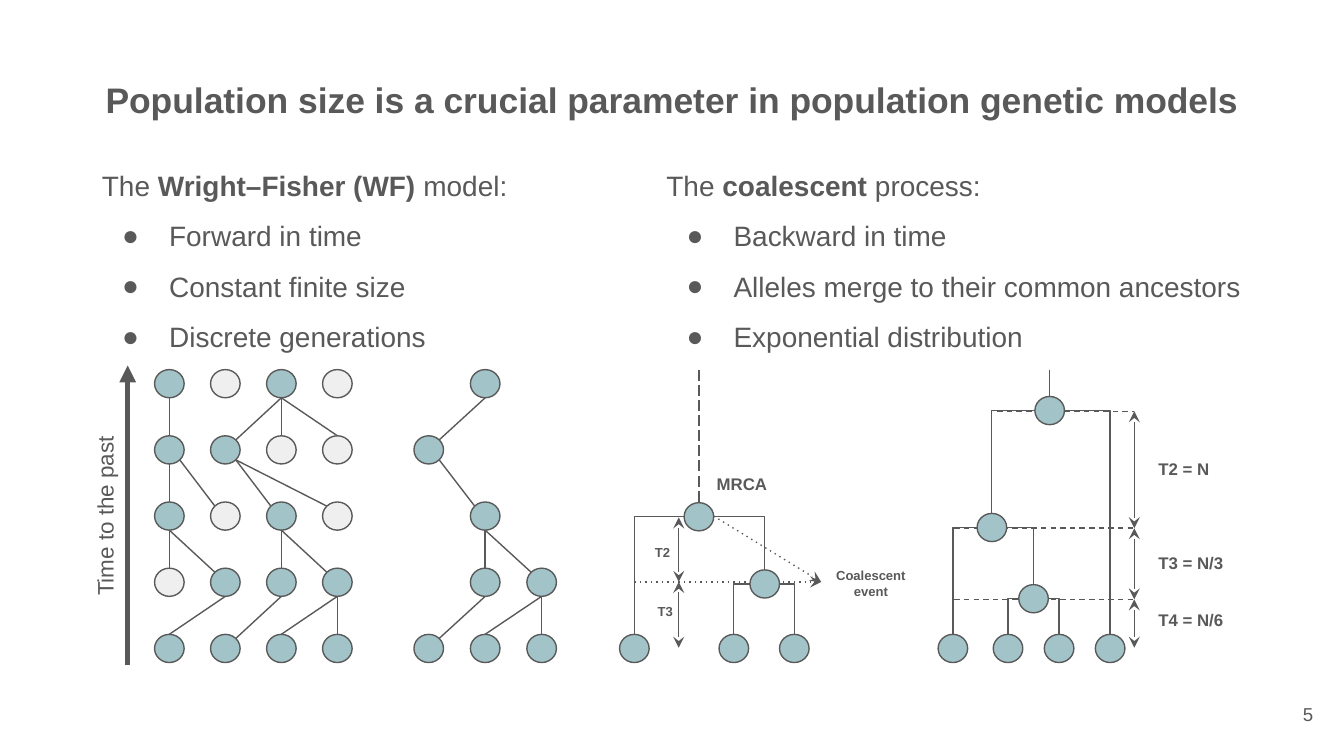
from collections import namedtuple
from dataclasses import dataclass
from math import cos, pi, sin

from lxml.etree import SubElement
from pptx import Presentation
from pptx.dml.color import RGBColor
from pptx.enum.shapes import MSO_CONNECTOR, MSO_SHAPE
from pptx.enum.text import MSO_ANCHOR, PP_ALIGN
from pptx.oxml.ns import qn
from pptx.util import Inches, Pt


@dataclass(frozen=True)
class Theme:
    font: str = "Arial"
    ink: RGBColor = RGBColor(0x59, 0x59, 0x59)
    ancestor: RGBColor = RGBColor(0xA2, 0xC4, 0xC9)
    extinct: RGBColor = RGBColor(0xEF, 0xEF, 0xEF)
    title: int = 19
    body: int = 15
    axis: int = 12
    number: int = 10
    label: int = 9
    small: int = 7
    thin: float = 0.75
    thick: float = 3


THEME = Theme()
NODE_WIDTH, NODE_HEIGHT = 0.22, 0.21
# Connection sites of an ellipse, counter-clockwise from the top
TOP, TOP_LEFT, LEFT, BOTTOM_LEFT, BOTTOM, BOTTOM_RIGHT, RIGHT, TOP_RIGHT = range(8)

Box = namedtuple("Box", "left top width height")
Node = namedtuple("Node", "shape x y")


def add_bullet(para, size):
    properties = para._p.get_or_add_pPr()
    properties.set("marL", str(Inches(0.5)))
    properties.set("indent", str(Inches(-0.35)))
    color = SubElement(properties, qn("a:buClr"))
    SubElement(color, qn("a:srgbClr"), val=str(THEME.ink))
    SubElement(properties, qn("a:buSzPts"), val=str(size * 100))
    SubElement(properties, qn("a:buFont"), typeface=THEME.font)
    SubElement(properties, qn("a:buChar"), char="●")


def add_text(page, box, spans, size, bold=False, align=PP_ALIGN.LEFT,
             anchor=MSO_ANCHOR.MIDDLE, bullets=(), spacing=None):
    """Write one paragraph of (text, bold) spans, then any bulleted lines."""
    shape = page.shapes.add_textbox(*map(Inches, box))
    frame = shape.text_frame
    frame.word_wrap = True
    frame.vertical_anchor = anchor
    frame.margin_left = frame.margin_right = Inches(0.1)
    frame.margin_top = frame.margin_bottom = Inches(0.1)
    spans = [(spans, bold)] if isinstance(spans, str) else spans
    for index, line in enumerate([spans, *([(text, bold)] for text in bullets)]):
        para = frame.add_paragraph() if index else frame.paragraphs[0]
        para.alignment = align
        if spacing:
            para.line_spacing = spacing
        if index:
            add_bullet(para, size)
        para.font.name = THEME.font
        para.font.size = Pt(size)
        para.font.color.rgb = THEME.ink
        for text, heavy in line:
            span = para.add_run()
            span.text = text
            span.font.bold = heavy
    return shape


def add_line(page, start, end, kind=MSO_CONNECTOR.STRAIGHT, weight=THEME.thin,
             dash=None, head=None, tail=None):
    line = page.shapes.add_connector(kind, *map(Inches, (*start, *end)))
    line.line.color.rgb = THEME.ink
    line.line.width = Pt(weight)
    properties = line.element.spPr
    outline = properties.find(qn("a:ln"))
    for tag, attribute, value in (("a:prstDash", "val", dash),
                                  ("a:headEnd", "type", head),
                                  ("a:tailEnd", "type", tail)):
        if value:
            SubElement(outline, qn(tag), {attribute: value})
    SubElement(properties, qn("a:effectLst"))
    return line


def add_node(page, left, top, fill=THEME.ancestor):
    shape = page.shapes.add_shape(
        MSO_SHAPE.OVAL, *map(Inches, (left, top, NODE_WIDTH, NODE_HEIGHT)))
    shape.shadow.inherit = False
    shape.fill.solid()
    shape.fill.fore_color.rgb = fill
    shape.line.color.rgb = THEME.ink
    shape.line.width = Pt(THEME.thin)
    return Node(shape, left + NODE_WIDTH / 2, top + NODE_HEIGHT / 2)


def site_point(node, site):
    angle = site * pi / 4
    return (node.x - NODE_WIDTH / 2 * sin(angle),
            node.y - NODE_HEIGHT / 2 * cos(angle))


def link(page, parent, parent_site, child, child_site, kind=MSO_CONNECTOR.STRAIGHT):
    """Join two nodes at connection sites; an elbow has a single corner."""
    line = add_line(page, site_point(parent, parent_site),
                    site_point(child, child_site), kind)
    if kind == MSO_CONNECTOR.ELBOW:
        line.element.spPr.find(qn("a:prstGeom")).set("prst", "bentConnector2")
    joints = line.element.find(".//" + qn("p:cNvCxnSpPr"))
    for tag, node, site in (("a:stCxn", parent, parent_site),
                            ("a:endCxn", child, child_site)):
        SubElement(joints, qn(tag), id=str(node.shape.shape_id), idx=str(site))


def add_generations(page, box, rows, descents):
    """Draw a grid of individuals: 1 ancestor, 0 extinct, blank none."""
    column_step = (box.width - NODE_WIDTH) / (len(rows[0]) - 1)
    row_step = (box.height - NODE_HEIGHT) / (len(rows) - 1)
    fills = {"1": THEME.ancestor, "0": THEME.extinct}
    nodes = {(row, column): add_node(page, box.left + column * column_step,
                                     box.top + row * row_step, fills[mark])
             for row, marks in enumerate(rows)
             for column, mark in enumerate(marks) if mark in fills}
    for row, generation in enumerate(descents):
        for parent, parent_site, child, child_site in generation:
            link(page, nodes[row, parent], parent_site,
                 nodes[row + 1, child], child_site)


def add_time_axis(page, box):
    x = box.left + box.width
    add_line(page, (x, box.top + box.height), (x, box.top),
             weight=THEME.thick, tail="triangle")
    label = add_text(page, Box(box.left - 0.74, box.top + 0.95, 1.64, 0.34),
                     "Time to the past", THEME.axis, align=PP_ALIGN.CENTER)
    label.rotation = 270


def add_tree(page, box, places, branches):
    """Draw nodes at offsets in the box; each parent branches left and right."""
    nodes = [add_node(page, box.left + x, box.top + y) for x, y in places]
    for parent, *children in branches:
        for site, child in zip((LEFT, RIGHT), children):
            link(page, nodes[parent], site, nodes[child], TOP, MSO_CONNECTOR.ELBOW)


def add_intervals(page, x, levels):
    for upper, lower in zip(levels, levels[1:]):
        add_line(page, (x, upper), (x, lower), head="stealth", tail="stealth")


def add_three_sample_tree(page, box):
    left, top = box.left, box.top
    event = (left + 1.5, top + 1.58)
    add_line(page, (left + 0.11, top + 1.58), event, dash="dot", tail="stealth")
    add_line(page, (left + 0.59, top), (left + 0.59, top + 0.99), dash="lgDash")
    tips = [(x, 1.97) for x in (0, 0.74, 1.19)]
    add_tree(page, box, [(0.48, 0.99), (0.97, 1.49), *tips], [(0, 2, 1), (1, 3, 4)])
    add_line(page, (left + 0.7, top + 1.09), event, dash="dot", tail="stealth")
    add_intervals(page, left + 0.44, [top + y for y in (1.1, 1.58, 2.07)])
    for text, size, place in (
            ("MRCA", THEME.label, (0.6, 0.71, 0.62, 0.28)),
            ("Coalescent event", THEME.small, (1.5, 1.46, 0.74, 0.26)),
            ("T2", THEME.small, (0.15, 1.25, 0.34, 0.22)),
            ("T3", THEME.small, (0.17, 1.69, 0.34, 0.22))):
        x, y, width, height = place
        add_text(page, Box(left + x, top + y, width, height), text, size,
                 bold=True, align=PP_ALIGN.CENTER)


def add_four_sample_tree(page, box):
    left, top = box.left, box.top
    scale = left + 1.46
    levels = [top + y for y in (0.31, 1.18, 1.71, 2.07)]
    for start, level in zip((0.44, 0.12, 0.12), levels):
        add_line(page, (left + start, level), (scale, level), dash="dash")
    tips = [(x, 1.97) for x in (0, 0.41, 0.79, 1.17)]
    add_tree(page, box, [(0.72, 0.2), (0.29, 1.07), (0.6, 1.6), *tips],
             [(0, 1, 6), (1, 3, 2), (2, 4, 5)])
    add_line(page, (left + 0.83, top), (left + 0.83, top + 0.2))
    add_intervals(page, scale, levels)
    for text, y in (("T2 = N", 0.63), ("T3 = N/3", 1.33), ("T4 = N/6", 1.75)):
        add_text(page, Box(scale + 0.08, top + y, 0.7, 0.22),
                 text, THEME.label, bold=True)


def add_model_summary(page, box, heading, points):
    add_text(page, box, heading, THEME.body, anchor=MSO_ANCHOR.TOP,
             bullets=points, spacing=1.5)


def main():
    deck = Presentation()
    deck.slide_width = Inches(10)
    deck.slide_height = deck.slide_width * 9 // 16
    page = deck.slides.add_slide(deck.slide_layouts[6])
    add_text(page, Box(0, 0.48, 10, 0.62),
             "Population size is a crucial parameter in population genetic models",
             THEME.title, bold=True, align=PP_ALIGN.CENTER, anchor=MSO_ANCHOR.TOP)
    add_model_summary(page, Box(0.66, 1.03, 4.19, 1.59),
                      [("The ", False), ("Wright–Fisher (WF)", True), (" model:", False)],
                      ["Forward in time", "Constant finite size", "Discrete generations"])
    add_model_summary(page, Box(4.86, 1.03, 4.48, 1.59),
                      [("The ", False), ("coalescent ", True), ("process:", False)],
                      ["Backward in time", "Alleles merge to their common ancestors",
                       "Exponential distribution"])
    add_time_axis(page, Box(0.7, 2.72, 0.25, 2.23))
    add_generations(
        page, Box(1.15, 2.75, 1.47, 2.18), ["1010", "1100", "1010", "0111", "1111"],
        [[(0, BOTTOM, 0, TOP), (2, BOTTOM, 1, TOP_RIGHT),
          (2, BOTTOM, 2, TOP), (2, BOTTOM, 3, TOP)],
         [(0, BOTTOM, 0, TOP), (0, BOTTOM_RIGHT, 1, TOP_LEFT),
          (1, BOTTOM_RIGHT, 2, TOP_LEFT), (1, BOTTOM_RIGHT, 3, TOP_LEFT)],
         [(0, BOTTOM, 0, TOP), (0, BOTTOM, 1, TOP_LEFT),
          (2, BOTTOM, 2, TOP), (2, BOTTOM, 3, TOP_LEFT)],
         [(1, BOTTOM, 0, TOP), (2, BOTTOM, 1, TOP_RIGHT),
          (3, BOTTOM, 2, TOP), (3, BOTTOM, 3, TOP)]])
    add_generations(
        page, Box(3.08, 2.75, 1.06, 2.18), [" 1 ", "1  ", " 1 ", " 11", "111"],
        [[(1, BOTTOM, 0, TOP_RIGHT)], [(0, BOTTOM_RIGHT, 1, TOP_LEFT)],
         [(1, BOTTOM, 1, TOP), (1, BOTTOM, 2, TOP_LEFT)],
         [(1, BOTTOM, 0, TOP_RIGHT), (2, BOTTOM, 1, TOP), (2, BOTTOM, 2, TOP)]])
    add_three_sample_tree(page, Box(4.61, 2.75, 2.24, 2.18))
    add_four_sample_tree(page, Box(6.98, 2.75, 2.24, 2.18))
    add_text(page, Box(9.27, 5.1, 0.6, 0.43), "5", THEME.number, align=PP_ALIGN.RIGHT)
    deck.save("out.pptx")


if __name__ == "__main__":
    main()
